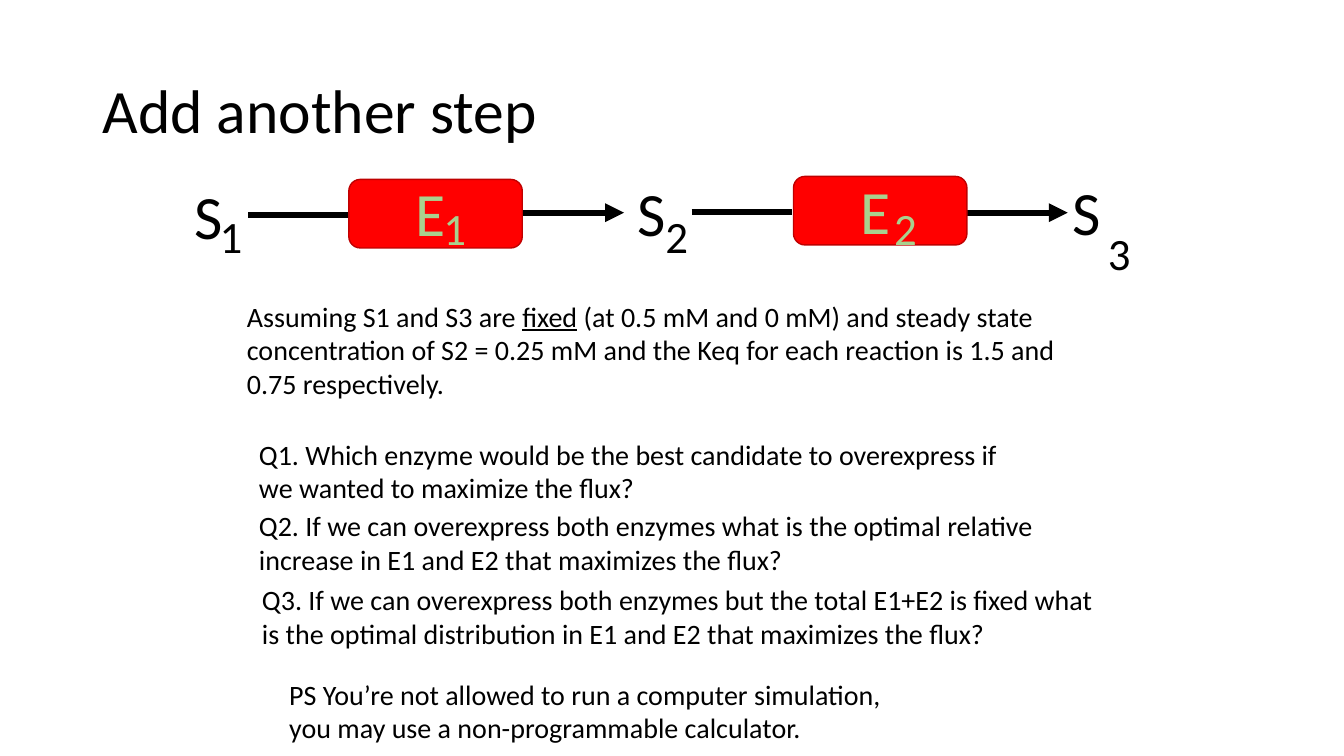
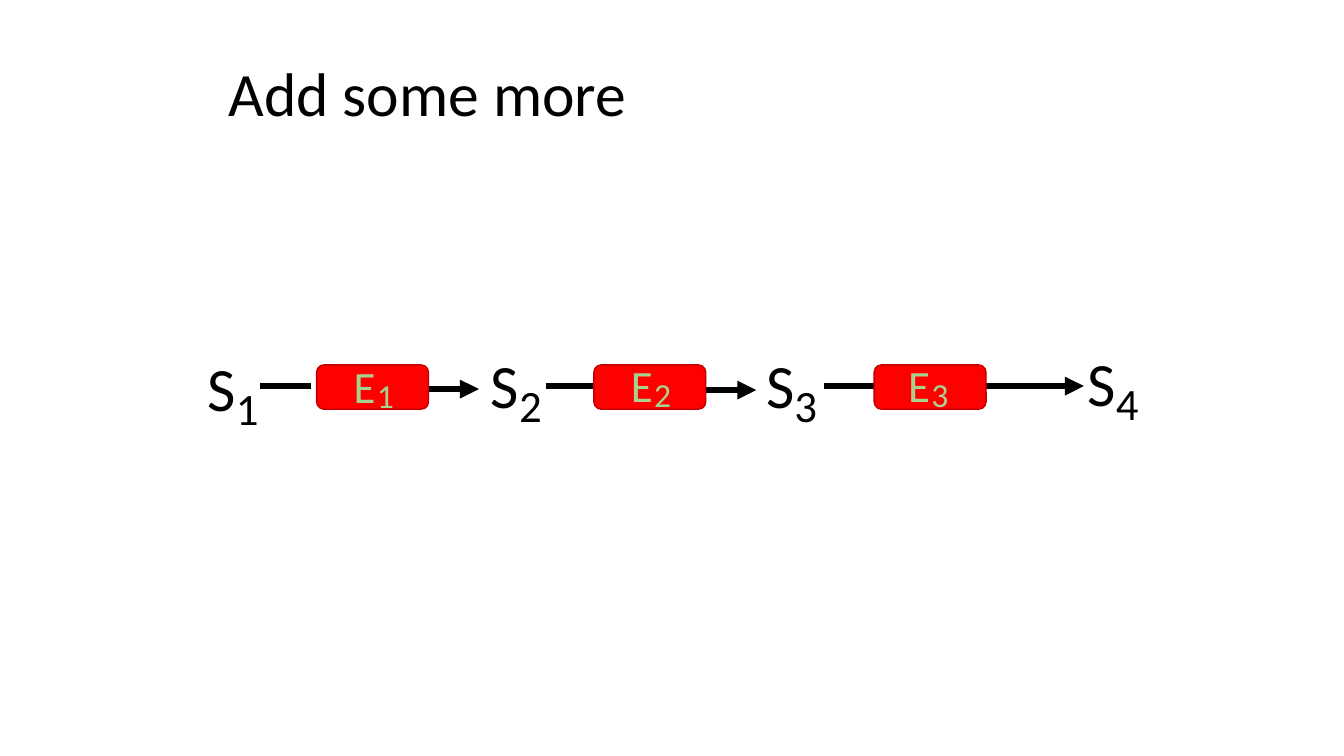
from lxml.etree import SubElement
from pptx import Presentation
from pptx.dml.color import RGBColor
from pptx.enum.shapes import MSO_CONNECTOR as Connector, MSO_SHAPE as Shape
from pptx.enum.text import MSO_ANCHOR as Anchor, MSO_AUTO_SIZE as AutoSize
from pptx.oxml.ns import qn
from pptx.util import Pt

PX = 9144  # EMU per px, 100 px to the inch
COLOURS = {"ink": "000000", "enzyme": "FF0000", "edge": "C00000", "label": "A9D18E"}
RGB = {role: RGBColor.from_string(value) for role, value in COLOURS.items()}

TITLE_FRAME = {"word_wrap": True, "vertical_anchor": Anchor.MIDDLE}
LABEL_FRAME = {"word_wrap": False, "auto_size": AutoSize.SHAPE_TO_FIT_TEXT}
PROSE_FRAME = {"word_wrap": True, "auto_size": AutoSize.SHAPE_TO_FIT_TEXT}

# Box width and height that hold one character of each size
LABEL_BOXES = {44: (63, 84), 32: (53, 64), 24: (45, 50)}

# Symbols: letter, left, top, then subscript, its left and top
PATHWAYS = [
    {
        "title": ("Add another step", (92, 40, 1150, 145)),
        "enzyme_size": (172, 68),
        "enzymes": [(346, 178), (787, 175)],
        "lines": [(246, 346, 213), (686, 786, 210)],
        "arrows": [(519, 619, 211), (959, 1059, 211)],
        "substrates": [
            ("S", 183, 172, "1", 208, 202),
            ("S", 622, 169, "2", 650, 202),
            ("S", 1054, 168, "3", 1089, 219),
        ],
        "enzyme_names": [
            ("E", 402, 169, "1", 430, 194),
            ("E", 844, 167, "2", 877, 194),
        ],
        "name_sizes": (44, 32),
        "prose": [
            ((235, 292, 848, 111), PROSE_FRAME, [[
                ("Assuming S1 and S3 are ", False),
                ("fixed", True),
                (" (at 0.5 mM and 0 mM) and steady state concentration of S2 = 0.25 mM "
                 "and the Keq for each reaction is 1.5 and 0.75 respectively.", False),
            ]]),
            ((247, 429, 765, 77), LABEL_FRAME, [
                [("Q1. Which enzyme would be the best candidate to overexpress if", False)],
                [("we wanted to maximize the flux?", False)],
            ]),
            ((247, 500, 795, 77), LABEL_FRAME, [
                [("Q2. If we can overexpress both enzymes what is the optimal relative", False)],
                [("increase in E1 and E2 that maximizes the flux?", False)],
            ]),
            ((250, 573, 851, 77), LABEL_FRAME, [
                [("Q3. If we can overexpress both enzymes but the total E1+E2 is fixed what", False)],
                [("is the optimal distribution in E1 and E2 that maximizes the flux?", False)],
            ]),
            ((277, 667, 640, 77), LABEL_FRAME, [
                [("PS You’re not allowed to run a computer simulation,", False)],
                [("you may use a non-programmable calculator.", False)],
            ]),
        ],
    },
    {
        "title": ("Add some more", (217, 33, 900, 125)),
        "enzyme_size": (111, 44),
        "enzymes": [(left, 362) for left in (314, 589, 867)],
        "lines": [(left, left + 50, 383) for left in (258, 542, 817)],
        "arrows": [(425, 475, 386), (700, 750, 387), (975, 1075, 383)],
        "substrates": [
            ("S", left, top, str(number), left + 28, top + 31)
            for number, (left, top) in enumerate(
                [(196, 342), (477, 339), (750, 339), (1069, 337)], 1)
        ],
        "enzyme_names": [
            ("E", left, top, str(number), left + 23, top + 16)
            for number, (left, top) in enumerate([(341, 351), (616, 350), (891, 350)], 1)
        ],
        "name_sizes": (32, 24),
        "prose": [],
    },
]


def add_text(slide, box, paragraphs, size, frame_format, colour="ink", spacing=1.0):
    """Write paragraphs, each a list of (text, underlined) runs, in a text box."""
    frame = slide.shapes.add_textbox(*(n * PX for n in box)).text_frame
    for name, value in frame_format.items():
        setattr(frame, name, value)
    for index, runs in enumerate(paragraphs):
        paragraph = frame.add_paragraph() if index else frame.paragraphs[0]
        paragraph.line_spacing = spacing
        for text, underlined in runs:
            run = paragraph.add_run()
            run.text = text
            font_format = {"name": "Calibri", "size": Pt(size), "underline": underlined or None}
            for name, value in font_format.items():
                setattr(run.font, name, value)
            run.font.color.rgb = RGB[colour]


def add_reaction_line(slide, start, end, y, arrow):
    line = slide.shapes.add_connector(
        Connector.STRAIGHT, start * PX, y * PX, end * PX, y * PX)
    line.line.width = Pt(4.5)
    line.line.color.rgb = RGB["ink"]
    if arrow:
        SubElement(line.line._get_or_add_ln(), qn("a:tailEnd"), type="triangle")
    SubElement(line._element.spPr, qn("a:effectLst"))


deck = Presentation()
deck.slide_width, deck.slide_height = 1333 * PX, 750 * PX

for pathway in PATHWAYS:
    slide = deck.slides.add_slide(deck.slide_layouts[6])
    title, title_box = pathway["title"]
    add_text(slide, title_box, [[(title, False)]], 44, TITLE_FRAME, spacing=0.9)

    for kind in ("lines", "arrows"):
        for start, end, y in pathway[kind]:
            add_reaction_line(slide, start, end, y, arrow=kind == "arrows")

    width, height = pathway["enzyme_size"]
    for left, top in pathway["enzymes"]:
        enzyme = slide.shapes.add_shape(
            Shape.ROUNDED_RECTANGLE, left * PX, top * PX, width * PX, height * PX)
        enzyme.shadow.inherit = False
        enzyme.fill.solid()
        enzyme.fill.fore_color.rgb = RGB["enzyme"]
        enzyme.line.color.rgb = RGB["edge"]
        enzyme.line.width = Pt(1)

    for kind, sizes, colour in (("substrates", (44, 32), "ink"),
                                ("enzyme_names", pathway["name_sizes"], "label")):
        for symbol in pathway[kind]:
            for (text, left, top), size in zip((symbol[:3], symbol[3:]), sizes):
                add_text(slide, (left, top, *LABEL_BOXES[size]), [[(text, False)]],
                         size, LABEL_FRAME, colour)

    for box, frame_format, paragraphs in pathway["prose"]:
        add_text(slide, box, paragraphs, 20, frame_format)

deck.save("out.pptx")
